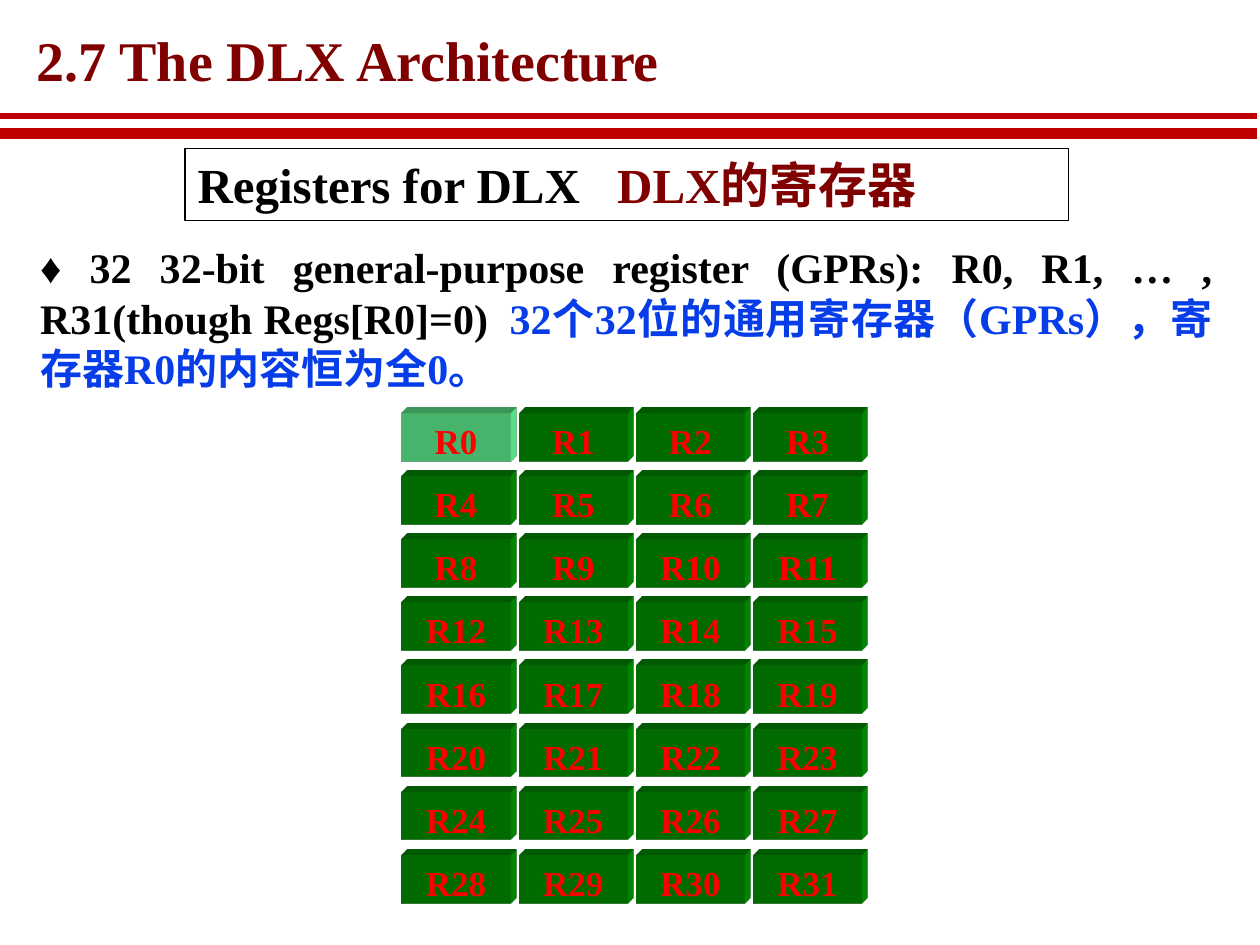
from lxml import etree
from pptx import Presentation
from pptx.dml.color import RGBColor
from pptx.enum.shapes import MSO_CONNECTOR, MSO_SHAPE
from pptx.enum.text import MSO_ANCHOR, PP_ALIGN
from pptx.oxml.ns import qn
from pptx.util import Inches, Pt

LEFT, CENTER, JUSTIFY = PP_ALIGN.LEFT, PP_ALIGN.CENTER, PP_ALIGN.JUSTIFY
TOP, MIDDLE = MSO_ANCHOR.TOP, MSO_ANCHOR.MIDDLE
RECTANGLE, STRAIGHT = MSO_SHAPE.RECTANGLE, MSO_CONNECTOR.STRAIGHT
COLUMNS, ROWS = 100, 75
FONT = "Times New Roman"
BLACK, MAROON, RED, BLUE, RULE_RED = "000000", "800000", "FF0000", "063DE8", "C00000"
GREEN, MINT = "009900", "66FF99"


def unit(count):
    """Return the length of a number of grid units, a tenth of an inch each."""
    return Inches(count * 10 / COLUMNS)


def color(value):
    """Return the colour of a hex string."""
    return RGBColor.from_string(value)


def set_attributes(target, values):
    """Set every attribute named in a dict of format values."""
    for name, value in values.items():
        setattr(target, name, value)


def write_text(shape, runs, size, insets, align=LEFT, anchor=TOP, wrap=True, tab=None, line_spacing=None):
    """Write one paragraph of (text, colour) runs into a shape."""
    frame = shape.text_frame
    sides = ("margin_left", "margin_top", "margin_right", "margin_bottom")
    set_attributes(frame, dict(zip(sides, map(unit, insets))))
    set_attributes(frame, {"word_wrap": wrap, "vertical_anchor": anchor})
    paragraph = frame.paragraphs[0]
    set_attributes(paragraph, {"alignment": align, "line_spacing": line_spacing})
    if tab:
        tabs = etree.SubElement(paragraph._p.get_or_add_pPr(), qn("a:tabLst"))
        etree.SubElement(tabs, qn("a:tab"), pos=str(unit(tab)), algn="l")
    for text, run_color in runs:
        run = paragraph.add_run()
        run.text = text
        set_attributes(run.font, {"name": FONT, "size": Pt(size), "bold": True})
        run.font.color.rgb = color(run_color)


def add_title(slide, box):
    """Add the slide title."""
    shape = slide.shapes.add_textbox(*map(unit, box))
    write_text(shape, [("2.7 The DLX Architecture", MAROON)], 32, (0.7, 0.3, 0.7, 0.3),
               anchor=MIDDLE, wrap=False, line_spacing=0.87)


def add_double_rule(slide, box):
    """Add a thin rule on the top edge of the box and a thick one on its bottom edge."""
    left, top, width, height = box
    for y, weight in ((top, 3), (top + height, 6)):
        rule = slide.shapes.add_connector(STRAIGHT, *map(unit, (left, y, left + width, y)))
        rule.line.color.rgb = color(RULE_RED)
        rule.line.width = Pt(weight)
        etree.SubElement(rule._element.spPr, qn("a:effectLst"))


def add_heading(slide, box):
    """Add the framed bilingual heading."""
    shape = slide.shapes.add_shape(RECTANGLE, *map(unit, box))
    shape.shadow.inherit = False
    shape.fill.background()
    shape.line.color.rgb = color(BLACK)
    shape.line.width = Pt(1)
    runs = [("Registers for DLX\t", BLACK), ("DLX的寄存器", MAROON)]
    write_text(shape, runs, 28, (1, 0.5, 1, 0.5), tab=33.3)


def add_description(slide, box):
    """Add the bilingual description of the registers."""
    shape = slide.shapes.add_textbox(*map(unit, box))
    runs = [
        ("♦ 32 32-bit general-purpose register (GPRs): R0, R1, … , R31(though Regs[R0]=0)\t", BLACK),
        ("32个32位的通用寄存器（GPRs），寄存器R0的内容恒为全0。", BLUE),
    ]
    write_text(shape, runs, 24, (1, 0.5, 1, 0.5), JUSTIFY, tab=37.2)


def extrude(shape, fill, depth=1.33):
    """Give a shape an oblique extrusion toward the top right."""
    properties = shape._element.spPr
    scene = etree.SubElement(properties, qn("a:scene3d"))
    etree.SubElement(scene, qn("a:camera"), prst="legacyObliqueTopRight")
    etree.SubElement(scene, qn("a:lightRig"), rig="legacyFlat3", dir="b")
    solid = etree.SubElement(properties, qn("a:sp3d"), extrusionH=str(unit(depth)),
                             prstMaterial="legacyMatte")
    for bevel in ("a:bevelT", "a:bevelB"):
        etree.SubElement(solid, qn(bevel), w="13500", h="13500", prst="angle")
    side = etree.SubElement(solid, qn("a:extrusionClr"))
    etree.SubElement(side, qn("a:srgbClr"), val=fill)


def add_register(slide, box, label, fill):
    """Add one extruded register block with its label."""
    block = slide.shapes.add_shape(RECTANGLE, *map(unit, box))
    block.shadow.inherit = False
    block.fill.solid()
    block.fill.fore_color.rgb = color(fill)
    block.line.fill.background()
    extrude(block, fill)
    write_text(block, [(label, RED)], 20, (0, 0.5, 0, 0), CENTER)


def add_register_file(slide, box, columns=4, rows=8):
    """Add the grid of registers, with the constant R0 set apart by colour."""
    left, top, width, height = box
    column_step, row_step = width / columns, height / rows
    for number in range(columns * rows):
        row, column = divmod(number, columns)
        cell = (left + column * column_step, top + row * row_step, 8.6, 3.8)
        add_register(slide, cell, f"R{number}", GREEN if number else MINT)


def main():
    """Build and save the slide."""
    presentation = Presentation()
    presentation.slide_width, presentation.slide_height = unit(COLUMNS), unit(ROWS)
    slide = presentation.slides.add_slide(presentation.slide_layouts[6])
    add_title(slide, (2.2, 2.5, 52.9, 5.2))
    add_double_rule(slide, (-0.1, 9.2, 99.9, 1.4))
    add_description(slide, (2.2, 18.7, 95, 18))
    add_heading(slide, (14.7, 11.8, 70.1, 5.7))
    add_register_file(slide, (31.9, 32.8, 37.2, 40.1))
    presentation.save("out.pptx")


if __name__ == "__main__":
    main()
